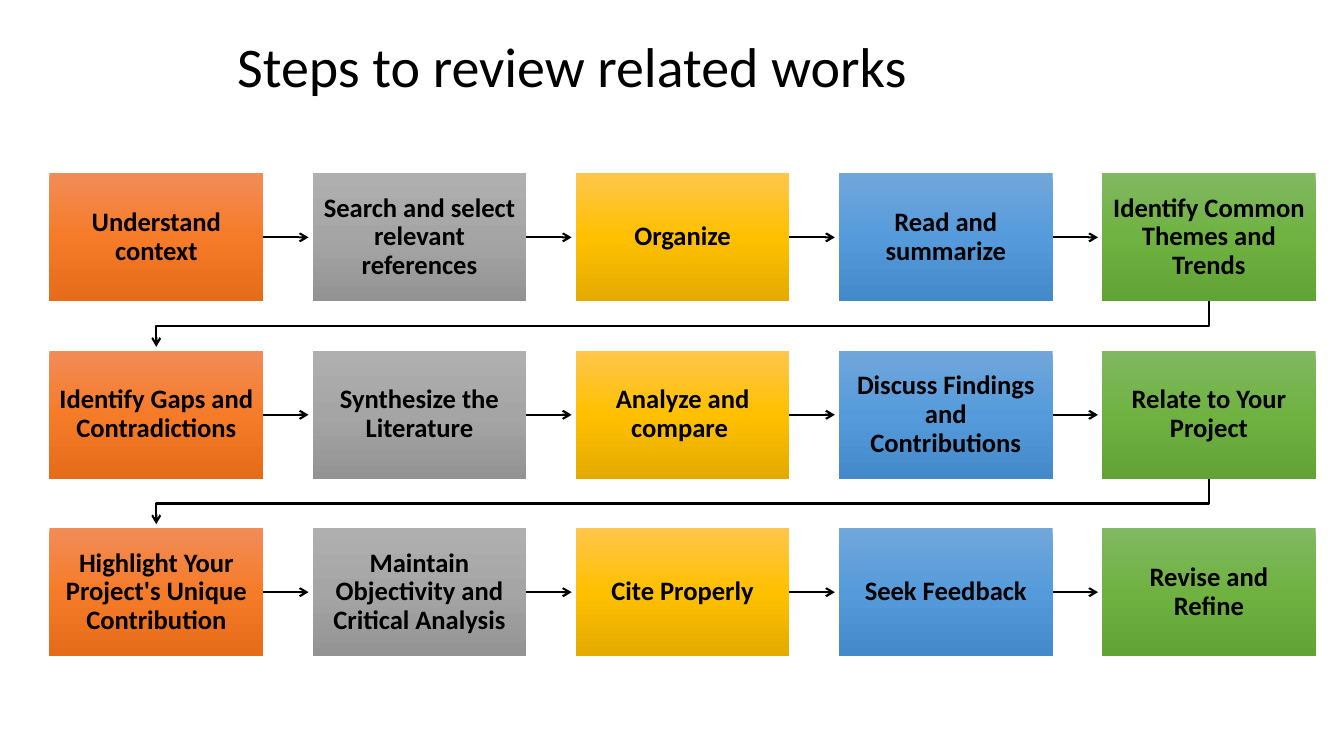
"""Build the slide with the fifteen steps for reviewing related works."""
from copy import deepcopy
from dataclasses import dataclass

from lxml.etree import SubElement
from pptx import Presentation
from pptx.dml.color import RGBColor
from pptx.enum.shapes import MSO_CONNECTOR as Connector, MSO_SHAPE as Shape
from pptx.enum.text import MSO_ANCHOR as Anchor, PP_ALIGN as Align
from pptx.oxml.ns import qn
from pptx.slide import Slide
from pptx.text.text import TextFrame
from pptx.util import Inches, Pt

FONT = "Calibri"
COLORS = {
    "ink": "000000",
    "orange": ("F18C57", "F67B28", "E56C19"),
    "gray": ("AFAFAF", "A5A5A5", "939393"),
    "yellow": ("FFC64B", "FFC000", "E3AB00"),
    "blue": ("71A6DB", "559BDB", "448ACA"),
    "green": ("81B861", "6FB242", "62A336"),
}
COLUMN_COLORS = ("orange", "gray", "yellow", "blue", "green")
STEP_ROWS = (
    ("Understand context", "Search and select relevant references", "Organize",
     "Read and summarize", "Identify Common Themes and Trends"),
    ("Identify Gaps and Contradictions", "Synthesize the Literature",
     "Analyze and compare ", "Discuss Findings and Contributions",
     "Relate to Your Project"),
    ("Highlight Your Project's Unique Contribution",
     "Maintain Objectivity and Critical Analysis", "Cite Properly",
     "Seek Feedback", "Revise and Refine"),
)
LEFT, TOP = 0.49, 1.72
COLUMN_PITCH, ROW_PITCH = 2.61, 1.76
BOX_WIDTH, BOX_HEIGHT = 2.12, 1.27
ARROW_GAP = 0.04


@dataclass(frozen=True)
class Step:
    label: str
    color: str
    row: int
    column: int

    @property
    def left(self) -> float:
        return LEFT + self.column * COLUMN_PITCH

    @property
    def top(self) -> float:
        return TOP + self.row * ROW_PITCH

    @property
    def center(self) -> float:
        return self.left + BOX_WIDTH / 2

    @property
    def middle(self) -> float:
        return self.top + BOX_HEIGHT / 2


def write_text(frame: TextFrame, text: str, size: int, bold: bool,
               anchor: Anchor, vertical_margin: float) -> None:
    frame.word_wrap = True
    frame.vertical_anchor = anchor
    frame.margin_left = frame.margin_right = Inches(0.1)
    frame.margin_top = frame.margin_bottom = Inches(vertical_margin)
    para = frame.paragraphs[0]
    para.text = text
    para.alignment = Align.CENTER
    para.line_spacing = 0.9
    font = para.runs[0].font
    font.name, font.size, font.bold = FONT, Pt(size), bold
    font.color.rgb = RGBColor.from_string(COLORS["ink"])


def draw_title(page: Slide, text: str) -> None:
    box = page.shapes.add_textbox(Inches(1.78), Inches(0.16), Inches(7.91), Inches(0.88))
    write_text(box.text_frame, text, 40, False, Anchor.BOTTOM, 0.05)


def draw_step(page: Slide, step: Step) -> None:
    box = page.shapes.add_shape(Shape.RECTANGLE, Inches(step.left), Inches(step.top),
                                Inches(BOX_WIDTH), Inches(BOX_HEIGHT))
    box.shadow.inherit = False
    box.line.fill.background()
    box.fill.gradient()
    box.fill.gradient_angle = 270
    stop_list = next(box.element.iter(qn("a:gsLst")))
    stop_list.insert(1, deepcopy(stop_list[0]))
    shades = COLORS[step.color]
    for stop, position, shade in zip(box.fill.gradient_stops, (0, 0.5, 1), shades):
        stop.position = position
        stop.color.rgb = RGBColor.from_string(shade)
    write_text(box.text_frame, step.label, 19, True, Anchor.MIDDLE, 0.11)


def style_arrow(arrow) -> None:
    arrow.line.color.rgb = RGBColor.from_string(COLORS["ink"])
    arrow.line.width = Pt(1.5)
    properties = arrow.element.spPr
    SubElement(properties.find(qn("a:ln")), qn("a:tailEnd"), type="arrow")
    SubElement(properties, qn("a:effectLst"))


def draw_straight_arrow(page: Slide, start: Step, end: Step) -> None:
    arrow = page.shapes.add_connector(
        Connector.STRAIGHT, Inches(start.left + BOX_WIDTH), Inches(start.middle),
        Inches(end.left - ARROW_GAP), Inches(end.middle))
    style_arrow(arrow)


def draw_return_arrow(page: Slide, start: Step, end: Step) -> None:
    bottom = start.top + BOX_HEIGHT
    turn = (bottom + end.top) / 2
    corners = ((start.center, turn), (end.center, turn), (end.center, end.top - ARROW_GAP))
    builder = page.shapes.build_freeform(Inches(start.center), Inches(bottom))
    builder.add_line_segments([(Inches(x), Inches(y)) for x, y in corners], close=False)
    arrow = builder.convert_to_shape()
    arrow.fill.background()
    style_arrow(arrow)


def main() -> None:
    deck = Presentation()
    deck.slide_width, deck.slide_height = Inches(13.33), Inches(7.5)
    page = deck.slides.add_slide(deck.slide_layouts[6])
    draw_title(page, "Steps to review related works ")
    steps = [Step(label, color, row, column)
             for row, labels in enumerate(STEP_ROWS)
             for column, (label, color) in enumerate(zip(labels, COLUMN_COLORS))]
    for start, end in zip(steps, steps[1:]):
        draw_arrow = draw_straight_arrow if start.row == end.row else draw_return_arrow
        draw_arrow(page, start, end)
    for step in steps:
        draw_step(page, step)
    deck.save("out.pptx")


if __name__ == "__main__":
    main()
